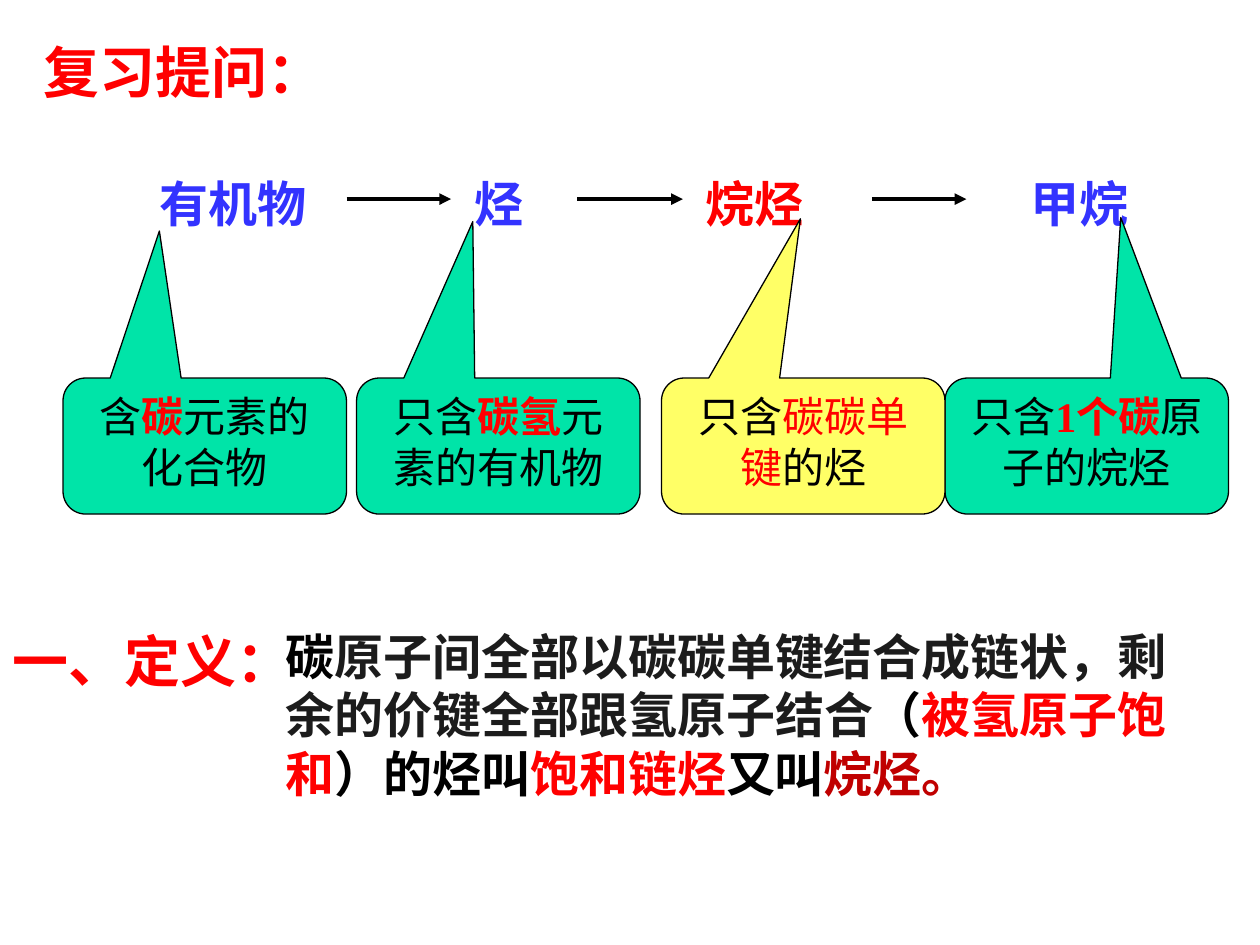
from dataclasses import dataclass

from lxml import etree
from pptx import Presentation
from pptx.dml.color import RGBColor
from pptx.enum import shapes, text
from pptx.oxml import ns
from pptx.util import Inches, Pt

FONT = "Times New Roman"
COLORS = {
    "black": "000000", "ink": "1C1C1C", "red": "FF0000", "dark_red": "C00000",
    "blue": "3333FF", "green": "00E4A8", "yellow": "FFFF66",
}


@dataclass
class Run:
    text: str
    color: str = "black"
    bold: bool = False


@dataclass
class Label:
    left: float
    top: float
    width: float
    height: float
    size: int
    runs: list[Run]


@dataclass
class Callout:
    left: float
    tip: tuple[float, float]
    fill: str
    runs: list[Run]


@dataclass
class Arrow:
    start: float
    end: float


def heading(left: float, top: float, width: float, words: str) -> Label:
    """Describe a large red heading."""
    return Label(left, top, width, 0.64, 32, [Run(words, "red", True)])


def term(left: float, width: float, words: str, color: str = "blue") -> Label:
    """Describe one term of the chain from organic matter to methane."""
    return Label(left, 1.33, width, 0.57, 28, [Run(words, color, True)])


TERMS = [
    term(1.17, 1.42, "有机物"),
    term(3.67, 0.75, "烃"),
    term(5.5, 1.08, "烷烃", "red"),
    term(8.08, 1.08, "甲烷"),
]
CALLOUTS = [
    Callout(7.5, (0.12, -1.68), "green",
            [Run("只含"), Run("1个碳", "red", True), Run("原子的烷烃")]),
    Callout(2.83, (-0.09, -1.65), "green",
            [Run("只含"), Run("碳氢", "red", True), Run("元素的有机物")]),
    Callout(5.25, (-0.01, -1.67), "yellow",
            [Run("只含"), Run("碳碳单键", "red"), Run("的烃")]),
    Callout(0.5, (-0.16, -1.58), "green",
            [Run("含"), Run("碳", "red", True), Run("元素的化合物")]),
]
ARROWS = [Arrow(2.75, 3.58), Arrow(4.58, 5.42), Arrow(6.92, 7.67)]
DEFINITION = Label(2.17, 4.92, 7.5, 1.5, 28, [
    Run("碳", bold=True),
    Run("原子间全部以碳碳单键结合成链状，剩余的价键全部跟氢原子结合", "ink", True),
    Run("（", bold=True),
    Run("被氢原子饱和", "red", True),
    Run("）的烃叫", bold=True),
    Run("饱和链烃", "red", True),
    Run("又叫", bold=True),
    Run("烷烃。", "dark_red", True),
])
TEXTS = [
    heading(0.25, 0.25, 4.5, "复习提问："),
    heading(0, 4.92, 2.5, "一、定义："),
    DEFINITION,
]


def rgb(name: str) -> RGBColor:
    """Look up a named colour."""
    return RGBColor.from_string(COLORS[name])


def write(tf, runs: list[Run], size: int, align) -> None:
    """Fill a text frame with one paragraph of formatted runs."""
    tf.word_wrap = True
    tf.vertical_anchor = text.MSO_ANCHOR.TOP
    p = tf.paragraphs[0]
    p.alignment = align
    for run in runs:
        r = p.add_run()
        r.text = run.text
        r.font.name = FONT
        r.font.size = Pt(size)
        r.font.bold = run.bold
        r.font.color.rgb = rgb(run.color)


def draw_label(s, label: Label) -> None:
    """Draw a text box."""
    sp = s.shapes.add_textbox(Inches(label.left), Inches(label.top),
                              Inches(label.width), Inches(label.height))
    write(sp.text_frame, label.runs, label.size, text.PP_ALIGN.LEFT)


def draw_callout(s, callout: Callout) -> None:
    """Draw a rounded callout that points at its term."""
    sp = s.shapes.add_shape(shapes.MSO_SHAPE.ROUNDED_RECTANGULAR_CALLOUT,
                            Inches(callout.left), Inches(3), Inches(2.25), Inches(1.08))
    sp.adjustments[0], sp.adjustments[1] = callout.tip
    sp.shadow.inherit = False
    sp.fill.solid()
    sp.fill.fore_color.rgb = rgb(callout.fill)
    sp.line.color.rgb = rgb("black")
    sp.line.width = Pt(0.75)
    write(sp.text_frame, callout.runs, 24, text.PP_ALIGN.CENTER)


def draw_arrow(s, arrow: Arrow) -> None:
    """Draw a horizontal arrow between two terms."""
    y = Inches(1.58)
    sp = s.shapes.add_connector(shapes.MSO_CONNECTOR.STRAIGHT,
                                Inches(arrow.start), y, Inches(arrow.end), y)
    sp.line.color.rgb = rgb("black")
    sp.line.width = Pt(2.25)
    etree.SubElement(sp.line._get_or_add_ln(), ns.qn("a:tailEnd"), type="triangle")
    etree.SubElement(sp._element.spPr, ns.qn("a:effectLst"))


def main() -> None:
    """Build the review slide on alkanes."""
    prs = Presentation()
    prs.slide_width, prs.slide_height = Inches(10), Inches(7.5)
    s = prs.slides.add_slide(prs.slide_layouts[6])
    for label in TERMS:
        draw_label(s, label)
    for callout in CALLOUTS:
        draw_callout(s, callout)
    for arrow in ARROWS:
        draw_arrow(s, arrow)
    for label in TEXTS:
        draw_label(s, label)
    prs.save("out.pptx")


if __name__ == "__main__":
    main()
